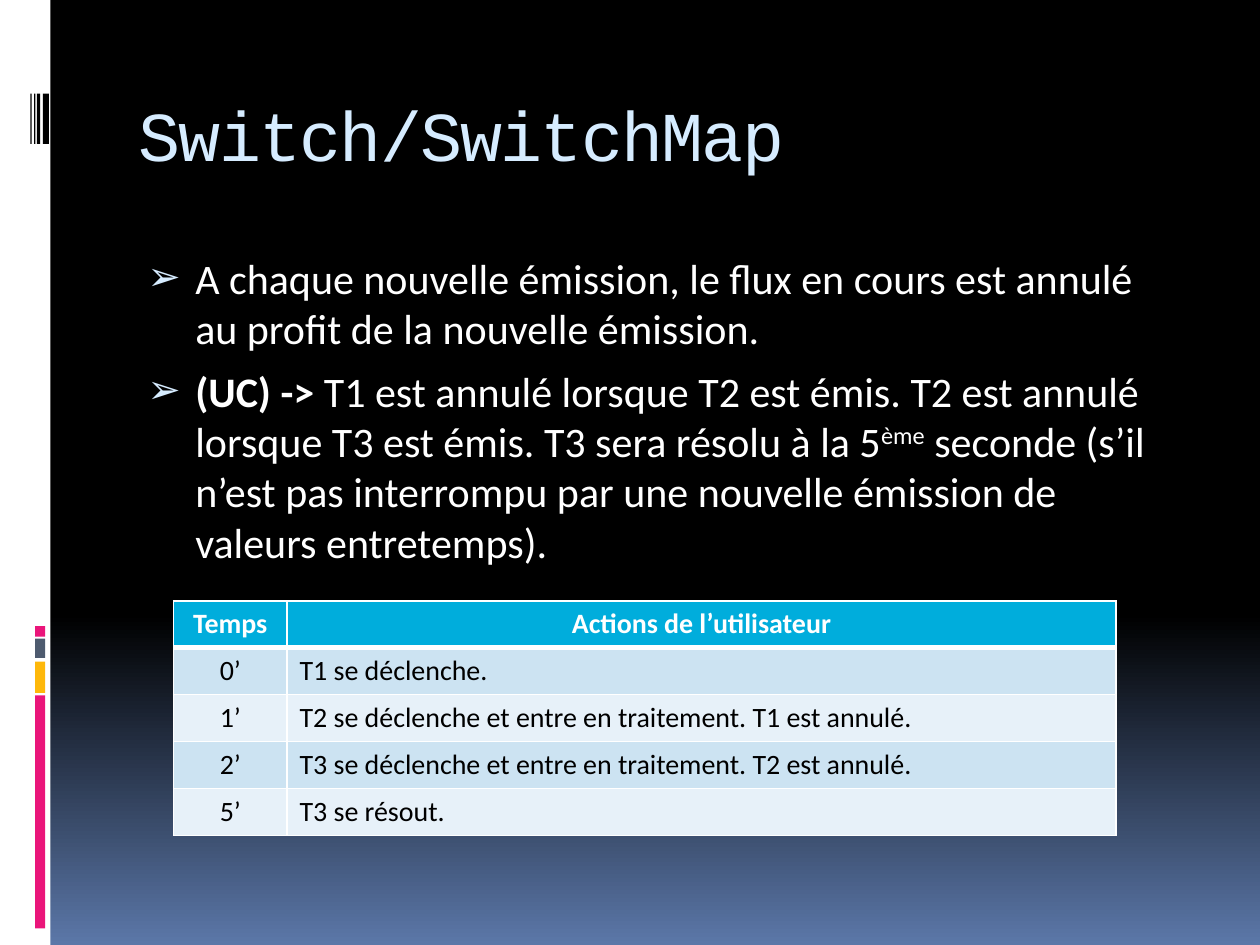
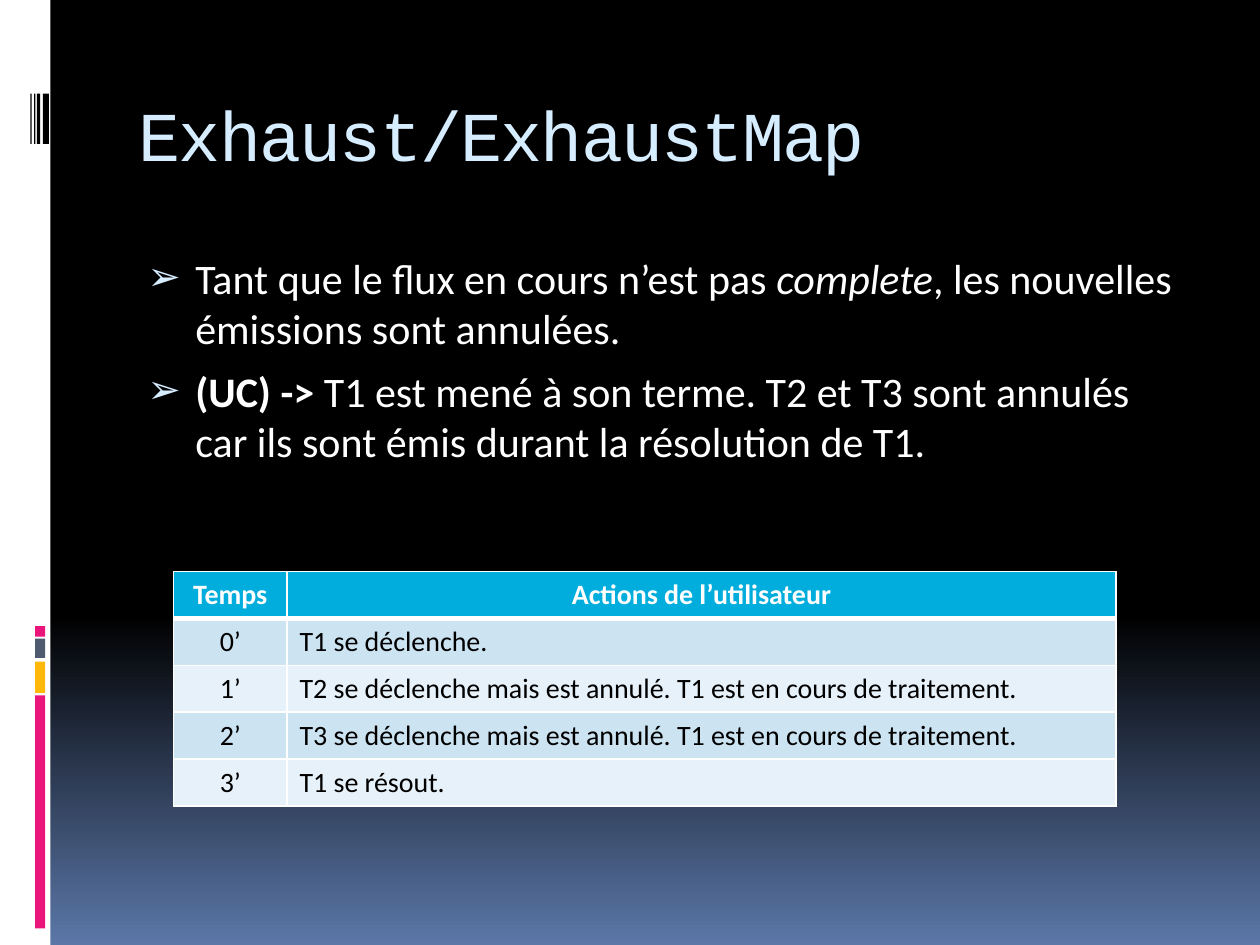
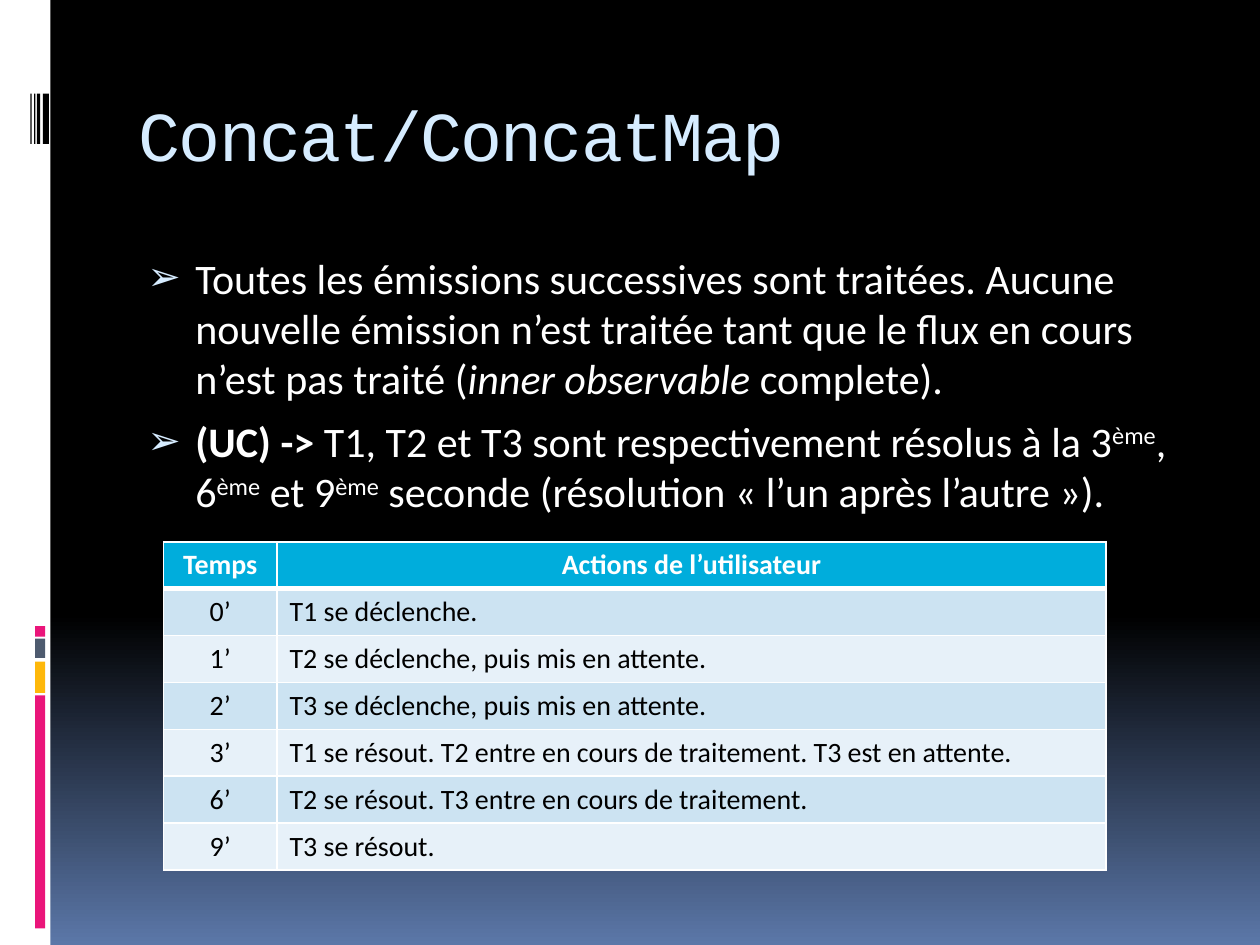
from copy import deepcopy

from lxml.etree import SubElement
from pptx import Presentation
from pptx.dml.color import RGBColor
from pptx.enum.shapes import MSO_SHAPE as Preset
from pptx.enum.text import MSO_ANCHOR as Anchor, MSO_AUTO_SIZE as AutoSize, PP_ALIGN as Align
from pptx.oxml.ns import qn
from pptx.util import Pt

BLACK = RGBColor(0x00, 0x00, 0x00)
WHITE = RGBColor(0xFF, 0xFF, 0xFF)
NIGHT_BLUE = RGBColor(0x5B, 0x77, 0xA8)
PALE_BLUE = RGBColor(0xD6, 0xEC, 0xFF)
PINK = RGBColor(0xEA, 0x15, 0x7A)
AMBER = RGBColor(0xFE, 0xB8, 0x0A)
SLATE = RGBColor(0x4E, 0x5B, 0x6F)
HEADER_BLUE = RGBColor(0x00, 0xAD, 0xDC)
ROW_BLUES = (RGBColor(0xE7, 0xF1, 0xF9), RGBColor(0xCC, 0xE3, 0xF2))

TITLE_FONT = {"name": "Courier New", "size": Pt(40), "bold": False, "color": PALE_BLUE}
BODY_FONT = {"name": "Calibri", "size": Pt(24), "color": WHITE}
HEADER_FONT = {"name": "Calibri", "size": Pt(16), "bold": True, "color": WHITE}
CELL_FONT = {**HEADER_FONT, "bold": False, "color": BLACK}
BOLD, ITALIC, RAISED = {"bold": True}, {"italic": True}, {"baseline": 30000}

SLIDE_WIDTH, SLIDE_HEIGHT = 720, 540
SIDE_BAND = (0, 0, 28.8, SLIDE_HEIGHT)
TITLE_BOX = (72, 40.3, 612, 72)
BODY_BOX = (72, 140.4, 612, 360)
COLUMN_WIDTHS = (64.8, 473.8)
ROW_HEIGHT = 26.4

COLOR_BLOCKS = ((357.8, 6, PINK), (365, 11, SLATE), (378, 18, AMBER), (397.4, 133.2, PINK))
BARCODE_BARS = ((17.4, 0.7), (19.5, 0.7), (21, 2), (24.5, 3.5))

TABLE_HEADER = ("Temps", "Actions de l’utilisateur")
USE_CASE = ("(UC) -> ", BOLD)
ORDINAL = ("ème", RAISED)
SLIDES = (
    {
        "title": "Switch/SwitchMap",
        "bullets": (
            (("A chaque nouvelle émission, le flux en cours est annulé au profit de la nouvelle émission.", {}),),
            (
                USE_CASE,
                ("T1 est annulé lorsque T2 est émis. T2 est annulé lorsque T3 est émis. T3 sera résolu à la 5", {}),
                ORDINAL,
                (" seconde (s’il n’est pas interrompu par une nouvelle émission de valeurs entretemps).", {}),
            ),
        ),
        "table_corner": (99.2, 343.4),
        "steps": (
            ("0’", "T1 se déclenche."),
            ("1’", "T2 se déclenche et entre en traitement. T1 est annulé."),
            ("2’", "T3 se déclenche et entre en traitement. T2 est annulé."),
            ("5’", "T3 se résout."),
        ),
    },
    {
        "title": "Exhaust/ExhaustMap",
        "bullets": (
            (
                ("Tant que le flux en cours n’est pas ", {}),
                ("complete", ITALIC),
                (", les nouvelles émissions sont annulées.", {}),
            ),
            (
                USE_CASE,
                ("T1 est mené à son terme. T2 et T3 sont annulés car ils sont émis durant la résolution de T1.", {}),
            ),
        ),
        "table_corner": (99.2, 326.6),
        "steps": (
            ("0’", "T1 se déclenche."),
            ("1’", "T2 se déclenche mais est annulé. T1 est en cours de traitement."),
            ("2’", "T3 se déclenche mais est annulé. T1 est en cours de traitement."),
            ("3’", "T1 se résout."),
        ),
    },
    {
        "title": "Concat/ConcatMap",
        "bullets": (
            (
                ("Toutes les émissions successives sont traitées. Aucune nouvelle émission n’est traitée "
                 "tant que le flux en cours n’est pas traité (", {}),
                ("inner observable ", ITALIC),
                ("complete).", {}),
            ),
            (
                USE_CASE,
                ("T1, T2 et T3 sont respectivement résolus à la 3", {}),
                ORDINAL,
                (", 6", {}),
                ORDINAL,
                (" et 9", {}),
                ORDINAL,
                (" seconde (résolution «\u00a0l’un après l’autre\u00a0»).", {}),
            ),
        ),
        "table_corner": (93.5, 309.6),
        "steps": (
            ("0’", "T1 se déclenche."),
            ("1’", "T2 se déclenche, puis mis en attente."),
            ("2’", "T3 se déclenche, puis mis en attente."),
            ("3’", "T1 se résout. T2 entre en cours de traitement. T3 est en attente."),
            ("6’", "T2 se résout. T3 entre en cours de traitement."),
            ("9’", "T3 se résout."),
        ),
    },
)


def add_run(paragraph, text, style):
    """Add a run formatted from a dict of font values."""
    run = paragraph.add_run()
    run.text = text
    for name, value in style.items():
        if name == "color":
            run.font.color.rgb = value
        elif name in ("baseline", "spc"):
            run.font._element.set(name, str(value))
        else:
            setattr(run.font, name, value)


def place(shape, box):
    """Move a shape to a box given in points."""
    for name, value in zip(("left", "top", "width", "height"), box):
        setattr(shape, name, Pt(value))


def set_bullet(paragraph):
    """Give a paragraph the arrow bullet with its hanging indent."""
    properties = paragraph._p.get_or_add_pPr()
    properties.set("marL", str(Pt(32.4)))
    properties.set("indent", str(-Pt(27.4)))
    color = SubElement(properties, qn("a:buClr"))
    SubElement(color, qn("a:srgbClr"), val=str(PALE_BLUE))
    SubElement(properties, qn("a:buSzPct"), val="95000")
    SubElement(properties, qn("a:buChar"), char="➢")


def set_borders(cell, widths):
    """Draw white cell borders of the given left, right, top and bottom widths."""
    properties = cell._tc.get_or_add_tcPr()
    for side, width in zip("LRTB", widths):
        line = SubElement(properties, qn(f"a:ln{side}"), w=str(Pt(width)))
        fill = SubElement(line, qn("a:solidFill"))
        SubElement(fill, qn("a:srgbClr"), val=str(WHITE))


def set_background(layout):
    """Fade the layout background from black to blue in its lower third."""
    fill = layout.background.fill
    fill.gradient()
    fill.gradient_angle = 270
    for stop, position, color in zip(fill.gradient_stops, (0.65, 1), (BLACK, NIGHT_BLUE)):
        stop.position = position
        stop.color.rgb = color
    stops = next(layout.element.iter(qn("a:gsLst")))
    first_stop = deepcopy(stops[0])
    first_stop.set("pos", "0")
    stops.insert(0, first_stop)


def add_side_band(slide, layout, box):
    """Draw the white band with its blocks and bars, and hand it to the layout."""
    left, top, width, height = box
    parts = [(left, top, width, height, WHITE)]
    parts += [(left + 20, top + offset, 5.8, size, color) for offset, size, color in COLOR_BLOCKS]
    parts += [(left + offset, top + 53.5, size, 28.8, BLACK) for offset, size in BARCODE_BARS]
    for *bounds, color in parts:
        shape = slide.shapes.add_shape(Preset.RECTANGLE, *map(Pt, bounds))
        shape.shadow.inherit = False
        shape.fill.solid()
        shape.fill.fore_color.rgb = color
        shape.line.fill.background()
        layout.shapes.element.append(shape.element)


def add_title(slide, text, box):
    """Fill the title placeholder."""
    title = slide.shapes.title
    place(title, box)
    frame = title.text_frame
    frame.vertical_anchor = Anchor.MIDDLE
    frame.auto_size = AutoSize.NONE
    paragraph = frame.paragraphs[0]
    paragraph.alignment = Align.LEFT
    add_run(paragraph, text, {**TITLE_FONT, "spc": -100})


def add_bullets(slide, bullets, box):
    """Fill the body placeholder with bulleted paragraphs."""
    body = slide.placeholders[1]
    place(body, box)
    frame = body.text_frame
    frame.vertical_anchor = Anchor.TOP
    frame.auto_size = AutoSize.NONE
    for index, runs in enumerate(bullets):
        paragraph = frame.add_paragraph() if index else frame.paragraphs[0]
        paragraph.space_before = Pt(7)
        set_bullet(paragraph)
        for text, style in runs:
            add_run(paragraph, text, {**BODY_FONT, **style})


def add_timeline(slide, steps, corner):
    """Add the table of times and user actions at a corner."""
    rows = (TABLE_HEADER, *steps)
    size = (sum(COLUMN_WIDTHS), ROW_HEIGHT * len(rows))
    table = slide.shapes.add_table(len(rows), len(TABLE_HEADER), *map(Pt, corner + size)).table
    for column, width in zip(table.columns, COLUMN_WIDTHS):
        column.width = Pt(width)
    for row_index, values in enumerate(rows):
        is_header = row_index == 0
        table.rows[row_index].height = Pt(ROW_HEIGHT)
        for column_index, text in enumerate(values):
            cell = table.cell(row_index, column_index)
            set_borders(cell, (1, 1, 3 if row_index == 1 else 1, 3 if is_header else 1))
            cell.fill.solid()
            cell.fill.fore_color.rgb = HEADER_BLUE if is_header else ROW_BLUES[row_index % 2]
            cell.vertical_anchor = Anchor.MIDDLE
            paragraph = cell.text_frame.paragraphs[0]
            paragraph.alignment = Align.CENTER if is_header or column_index == 0 else Align.LEFT
            add_run(paragraph, text, HEADER_FONT if is_header else CELL_FONT)


def build():
    """Build the three operator slides and save them."""
    presentation = Presentation()
    presentation.slide_width, presentation.slide_height = Pt(SLIDE_WIDTH), Pt(SLIDE_HEIGHT)
    layout = presentation.slide_layouts[1]
    set_background(layout)
    for index, content in enumerate(SLIDES):
        slide = presentation.slides.add_slide(layout)
        if index == 0:
            add_side_band(slide, layout, SIDE_BAND)
        add_title(slide, content["title"], TITLE_BOX)
        add_bullets(slide, content["bullets"], BODY_BOX)
        add_timeline(slide, content["steps"], content["table_corner"])
    presentation.save("out.pptx")


build()
